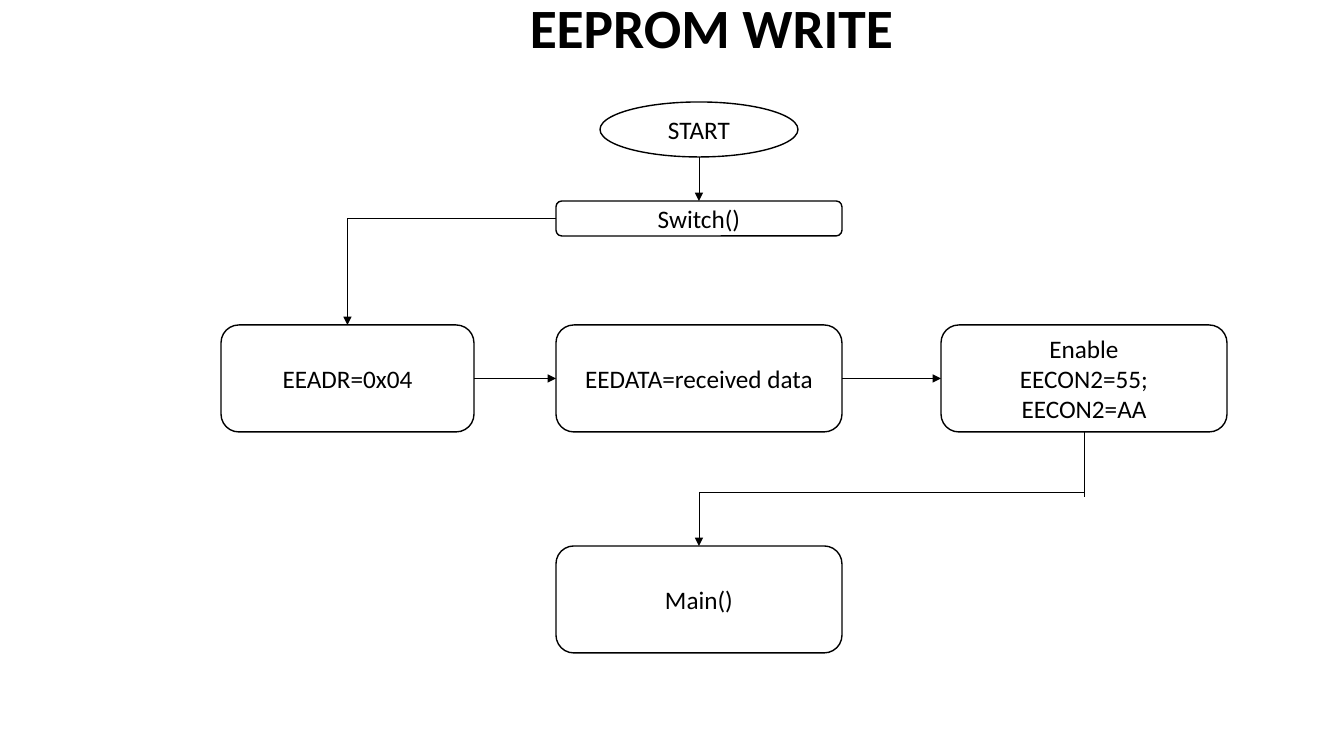
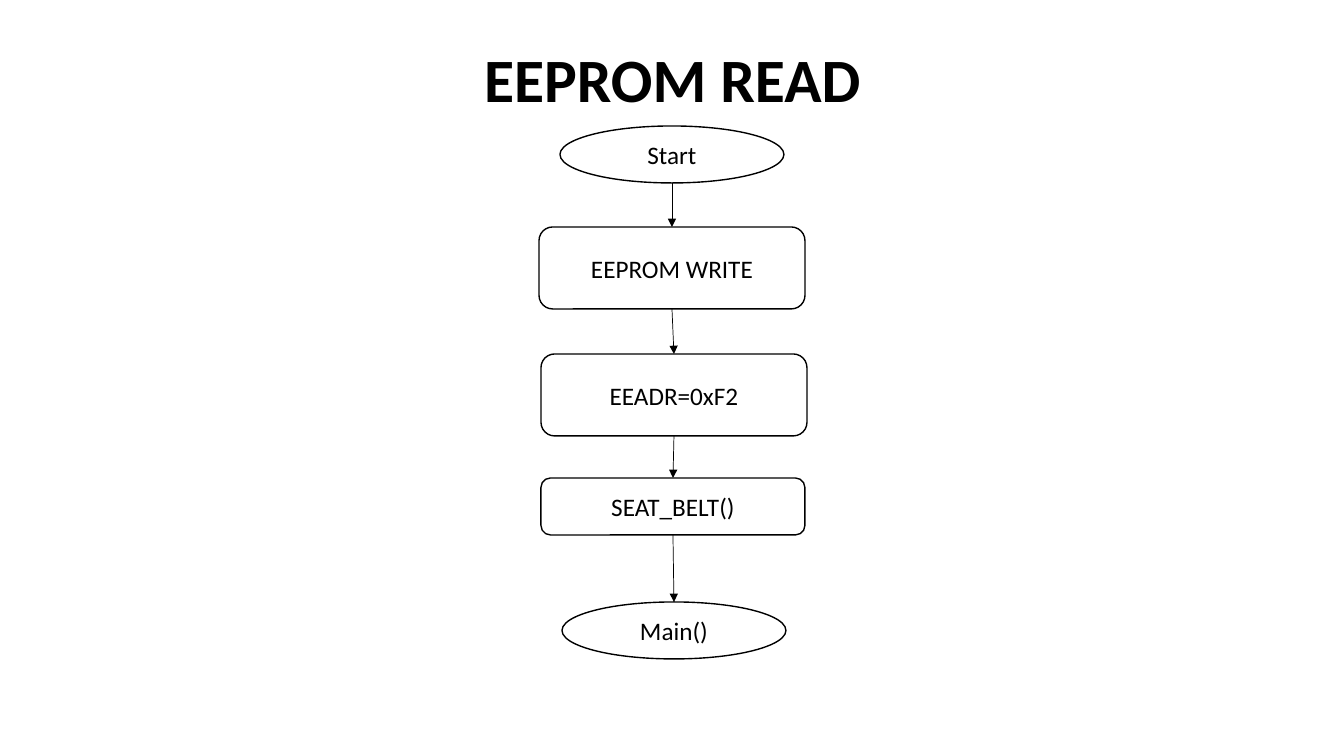
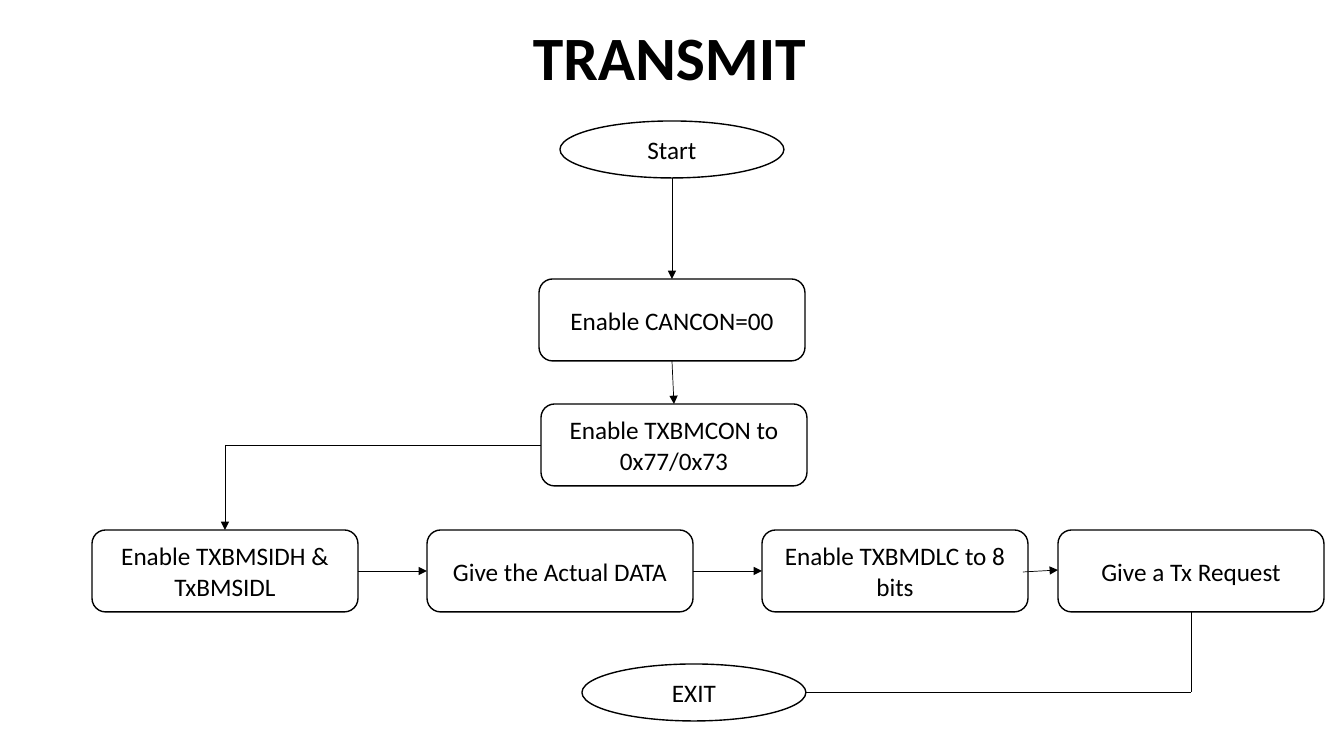
from itertools import pairwise

from lxml.etree import SubElement
from pptx import Presentation
from pptx.dml.color import RGBColor
from pptx.enum.shapes import MSO_CONNECTOR, MSO_SHAPE
from pptx.enum.text import MSO_ANCHOR, PP_ALIGN
from pptx.oxml.ns import qn
from pptx.util import Pt

SLIDE_WIDTH, SLIDE_HEIGHT = 1344, 756
EMU_PER_PIXEL = 914400 / 100.8
TITLE_ONLY = 5


def emu(pixels):
    """Turn pixels into EMU."""
    return round(pixels * EMU_PER_PIXEL)


def colour(value):
    """Turn a hex string into a colour."""
    return RGBColor.from_string(value)


def apply(target, values):
    """Set each attribute of the target from a dict."""
    for name, value in values.items():
        setattr(target, name, value)


def place(shape, left, top, width, height):
    """Move and size a shape, in pixels."""
    apply(shape, {"left": emu(left), "top": emu(top),
                  "width": emu(width), "height": emu(height)})


def side(shape, name):
    """Give the middle of one side of a shape, in pixels."""
    across, down = {"top": (0.5, 0), "bottom": (0.5, 1),
                    "left": (0, 0.5), "right": (1, 0.5)}[name]
    return ((shape.left + shape.width * across) / EMU_PER_PIXEL,
            (shape.top + shape.height * down) / EMU_PER_PIXEL)


class FlowChart:
    """Holds the shared style and the current slide."""

    ink, paper = "000000", "FFFFFF"
    font = "Calibri"
    border, wire = Pt(1), Pt(0.5)
    frame_format = {"vertical_anchor": MSO_ANCHOR.MIDDLE, "word_wrap": True}

    def __init__(self):
        """Start an empty presentation."""
        self.presentation = Presentation()
        apply(self.presentation, {"slide_width": emu(SLIDE_WIDTH),
                                  "slide_height": emu(SLIDE_HEIGHT)})
        self.slide = None

    def label(self, shape, text, size, bold=False, spacing=None):
        """Put centred text into a shape, one paragraph a line."""
        frame = shape.text_frame
        frame.text = text
        apply(frame, self.frame_format)
        for paragraph in frame.paragraphs:
            apply(paragraph, {"alignment": PP_ALIGN.CENTER,
                              "line_spacing": spacing})
            for run in paragraph.runs:
                apply(run.font, {"name": self.font, "size": Pt(size),
                                 "bold": bold})
                run.font.color.rgb = colour(self.ink)

    def new_slide(self, title, box, size=44):
        """Add a slide and format its title."""
        layout = self.presentation.slide_layouts[TITLE_ONLY]
        self.slide = self.presentation.slides.add_slide(layout)
        placeholder = self.slide.shapes.title
        place(placeholder, *box)
        self.label(placeholder, title, size, bold=True, spacing=0.9)

    def node(self, kind, text, left, top, width, height):
        """Add an outlined shape with a label."""
        box = map(emu, (left, top, width, height))
        shape = self.slide.shapes.add_shape(kind, *box)
        shape.shadow.inherit = False
        shape.fill.solid()
        shape.fill.fore_color.rgb = colour(self.paper)
        shape.line.color.rgb = colour(self.ink)
        shape.line.width = self.border
        self.label(shape, text, 18)
        return shape

    def terminal(self, text, left, top, width=224, height=57):
        """Add a start or end ellipse."""
        return self.node(MSO_SHAPE.OVAL, text, left, top, width, height)

    def step(self, text, left, top, width=266, height=82):
        """Add a rounded process box."""
        return self.node(MSO_SHAPE.ROUNDED_RECTANGLE, text,
                         left, top, width, height)

    def route(self, *points, arrow=True):
        """Join points with straight lines, an arrowhead on the last."""
        for start, end in pairwise(points):
            connector = self.slide.shapes.add_connector(
                MSO_CONNECTOR.STRAIGHT, *map(emu, (*start, *end)))
            connector.line.color.rgb = colour(self.ink)
            connector.line.width = self.wire
            properties = connector._element.spPr
            SubElement(properties, qn("a:effectLst"))
            if arrow and end == points[-1]:
                SubElement(properties.find(qn("a:ln")), qn("a:tailEnd"),
                           type="triangle")

    def chain(self, nodes, leave="bottom", enter="top"):
        """Draw an arrow from each node to the next."""
        for first, second in pairwise(nodes):
            self.route(side(first, leave), side(second, enter))

    def across(self, nodes):
        """Draw arrows from left to right."""
        self.chain(nodes, "right", "left")


def eeprom_write(chart):
    """Build the EEPROM write flow."""
    chart.new_slide("EEPROM WRITE", (132, -7, 1159, 76), 39.6)
    column, row, width, height = 556, 325, 286, 107
    start = chart.terminal("START", 600, 102, 198, 55)
    switch = chart.step("Switch()", column, 201, width, 35)
    address = chart.step("EEADR=0x04", 221, row, 253, height)
    data = chart.step("EEDATA=received data", column, row, width, height)
    enable = chart.step("Enable\nEECON2=55;\nEECON2=AA", 941, row,
                        width, height)
    main = chart.step("Main()", column, 546, width, height)

    chart.chain([start, switch])
    exit_point, entry = side(switch, "left"), side(address, "top")
    chart.route(exit_point, (entry[0], exit_point[1]), entry)
    chart.across([address, data, enable])
    below, entry, turn = side(enable, "bottom"), side(main, "top"), 492
    chart.route(below, (below[0], turn + 5), arrow=False)
    chart.route((below[0], turn), (entry[0], turn), entry)


def eeprom_read(chart):
    """Build the EEPROM read flow."""
    chart.new_slide("EEPROM READ", (93, 40, 1159, 86))
    chart.chain([
        chart.terminal("Start", 560, 126),
        chart.step("EEPROM WRITE", 539, 227),
        chart.step("EEADR=0xF2", 541, 354),
        chart.step("SEAT_BELT()", 541, 478, 264, 57),
        chart.terminal("Main()", 562, 602),
    ])


def transmit(chart):
    """Build the transmit flow."""
    chart.new_slide("TRANSMIT", (90, 12, 1159, 97))
    start = chart.terminal("Start", 560, 121)
    control = chart.step("Enable CANCON=00", 539, 279)
    buffer = chart.step("Enable TXBMCON to 0x77/0x73", 541, 404)
    finish = chart.terminal("EXIT", 582, 664)
    row = 530
    identifier, data, length = [
        chart.step(text, 92 + 335 * index, row) for index, text in enumerate(
            ["Enable TXBMSIDH &\nTxBMSIDL", "Give the Actual DATA",
             "Enable TXBMDLC to 8 bits"])]
    request = chart.step("Give a Tx Request", 1058, row)

    chart.chain([start, control, buffer])
    exit_point, entry = side(buffer, "left"), side(identifier, "top")
    chart.route(exit_point, (entry[0], exit_point[1]), entry)
    chart.across([identifier, data, length])
    chart.route((1023, 572), (1058, 570))
    below, entry = side(request, "bottom"), side(finish, "right")
    chart.route(below, (below[0], entry[1]), entry, arrow=False)


flow_chart = FlowChart()
for build in (eeprom_write, eeprom_read, transmit):
    build(flow_chart)
flow_chart.presentation.save("out.pptx")
